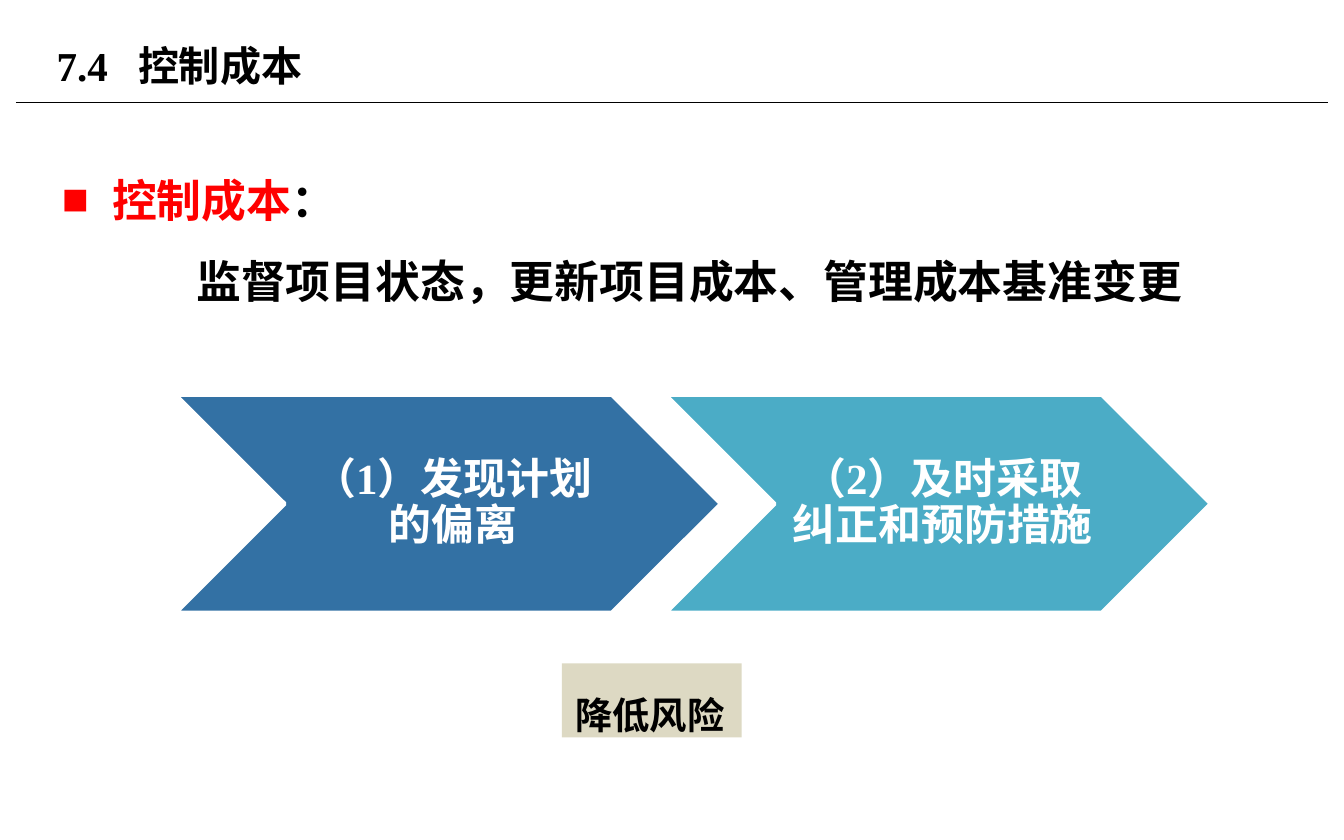
from lxml import etree
from pptx import Presentation
from pptx.dml.color import RGBColor
from pptx.enum.shapes import MSO_CONNECTOR, MSO_SHAPE
from pptx.enum.text import MSO_ANCHOR, PP_ALIGN
from pptx.oxml.ns import qn
from pptx.util import Cm, Pt

LINE = MSO_CONNECTOR.STRAIGHT
RECT, CHEV = MSO_SHAPE.RECTANGLE, MSO_SHAPE.CHEVRON
TOP, MID = MSO_ANCHOR.TOP, MSO_ANCHOR.MIDDLE
LEFT, MIDDLE = PP_ALIGN.LEFT, PP_ALIGN.CENTER

FONT = "Times New Roman"
BLACK, RED, WHITE = "000000", "FF0000", "FFFFFF"

TITLE = [("7.4\t控制成本", BLACK)]
HEAD = [("控制成本", RED), ("：", BLACK)]
BODY = [("\t监督项目状态，更新项目成本、管理成本基准变更", BLACK)]
STEPS = [("（1）发现计划的偏离", "3371A4"), ("（2）及时采取纠正和预防措施", "4BACC6")]
GOAL = [("降低风险", BLACK)]

STEP_X, STEP_Y, STEP_W, STEP_H, PITCH = 3.33, 7.47, 10.29, 4.11, 9.26


def tint(code):
    return RGBColor.from_string(code)


def apply(item, **vals):
    for key, val in vals.items():
        setattr(item, key, val)


def write(para, runs, size, **vals):
    apply(para, **vals)
    for text, code in runs:
        run = para.add_run()
        run.text = text
        apply(run.font, name=FONT, size=Pt(size), bold=True)
        run.font.color.rgb = tint(code)


def add_tab(para, pos):
    tabs = etree.SubElement(para._p.get_or_add_pPr(), qn("a:tabLst"))
    etree.SubElement(tabs, qn("a:tab"), pos=str(Cm(pos)), algn="l")


def add_mark(para, sign, dent):
    props = para._p.get_or_add_pPr()
    props.set("marL", str(Cm(dent)))
    props.set("indent", str(-Cm(dent)))
    etree.SubElement(props, qn("a:buFont"), typeface=FONT)
    etree.SubElement(props, qn("a:buChar"), char=sign)


def add_box(slide, *area):
    frame = slide.shapes.add_textbox(*map(Cm, area)).text_frame
    frame.word_wrap = True
    return frame


def add_form(slide, kind, fill, *area):
    form = slide.shapes.add_shape(kind, *map(Cm, area))
    form.shadow.inherit = False
    form.fill.solid()
    form.fill.fore_color.rgb = tint(fill)
    form.line.fill.background()
    form.text_frame.word_wrap = True
    return form


def main():
    deck = Presentation()
    apply(deck, slide_width=Cm(25.4), slide_height=Cm(15.88))
    slide = deck.slides.add_slide(deck.slide_layouts[6])

    rule = slide.shapes.add_connector(LINE, Cm(0.3), Cm(1.94), Cm(25.1), Cm(1.94))
    rule.line.color.rgb = tint(BLACK)
    rule.line.width = Pt(0.75)
    etree.SubElement(rule._element.spPr, qn("a:effectLst"))

    frame = add_box(slide, 0.82, 0.33, 16.2, 1.8)
    frame.vertical_anchor = MID
    para = frame.paragraphs[0]
    add_tab(para, 1.54)
    write(para, TITLE, 22)

    frame = add_box(slide, 0.92, 2.64, 22.8, 9.9)
    para = frame.paragraphs[0]
    add_mark(para, "■", 0.95)
    write(para, HEAD, 24, line_spacing=1.5)
    para = frame.add_paragraph()
    add_tab(para, 2.54)
    write(para, BODY, 24, line_spacing=1.5)

    form = add_form(slide, RECT, "DDD9C3", 10.62, 12.54, 3.4, 1.4)
    form.text_frame.vertical_anchor = TOP
    write(form.text_frame.paragraphs[0], GOAL, 20, line_spacing=1.5, alignment=LEFT)

    for i, (text, fill) in enumerate(STEPS):
        form = add_form(slide, CHEV, fill, STEP_X + i * PITCH, STEP_Y, STEP_W, STEP_H)
        form.line.color.rgb = tint(WHITE)
        form.line.width = Pt(2)
        frame = form.text_frame
        apply(frame, vertical_anchor=MID, margin_left=Cm(0.25), margin_right=Cm(0.08),
              margin_top=Cm(0.08), margin_bottom=Cm(0.08))
        write(frame.paragraphs[0], [(text, WHITE)], 23, line_spacing=0.9, alignment=MIDDLE)

    deck.save("out.pptx")


if __name__ == "__main__":
    main()
